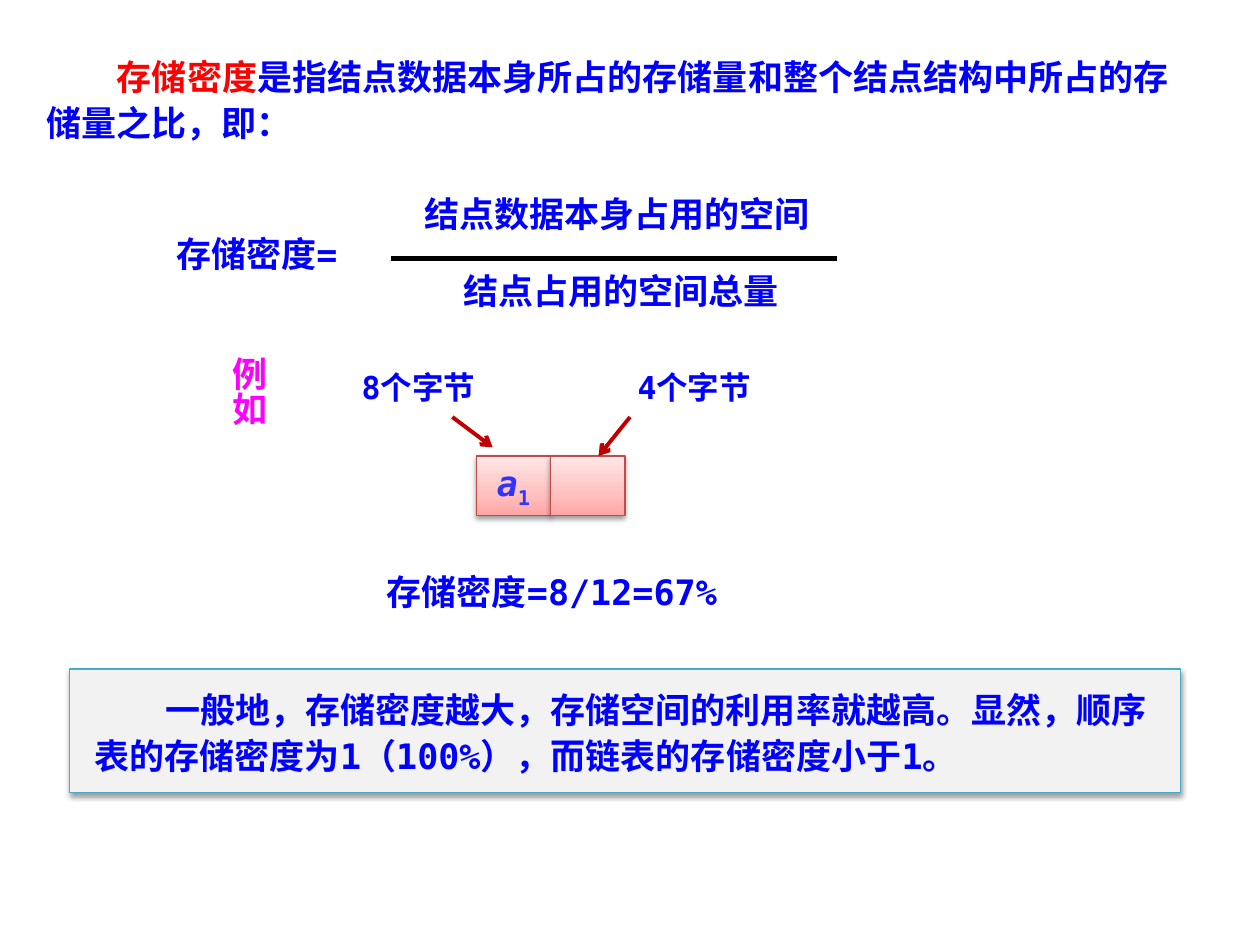
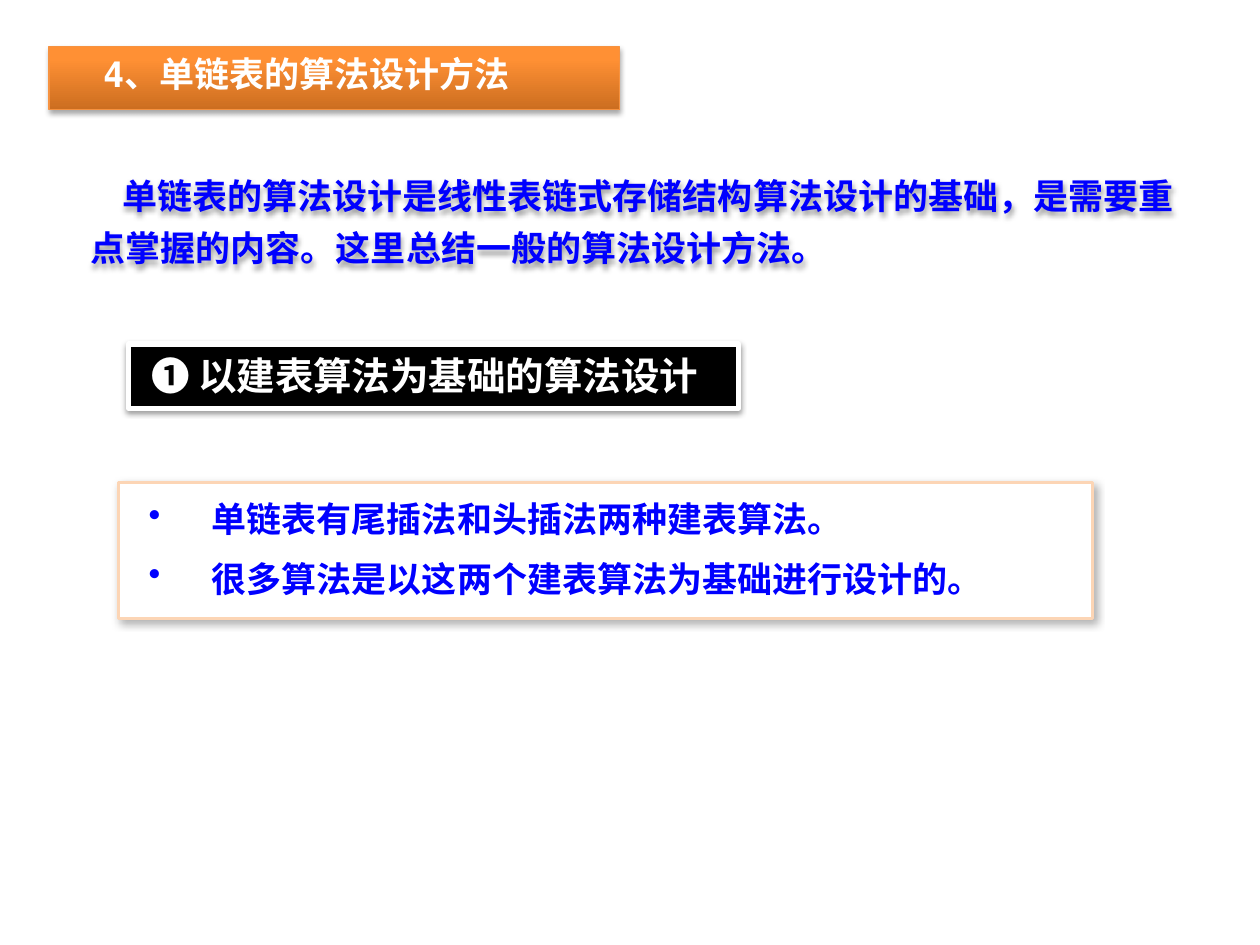
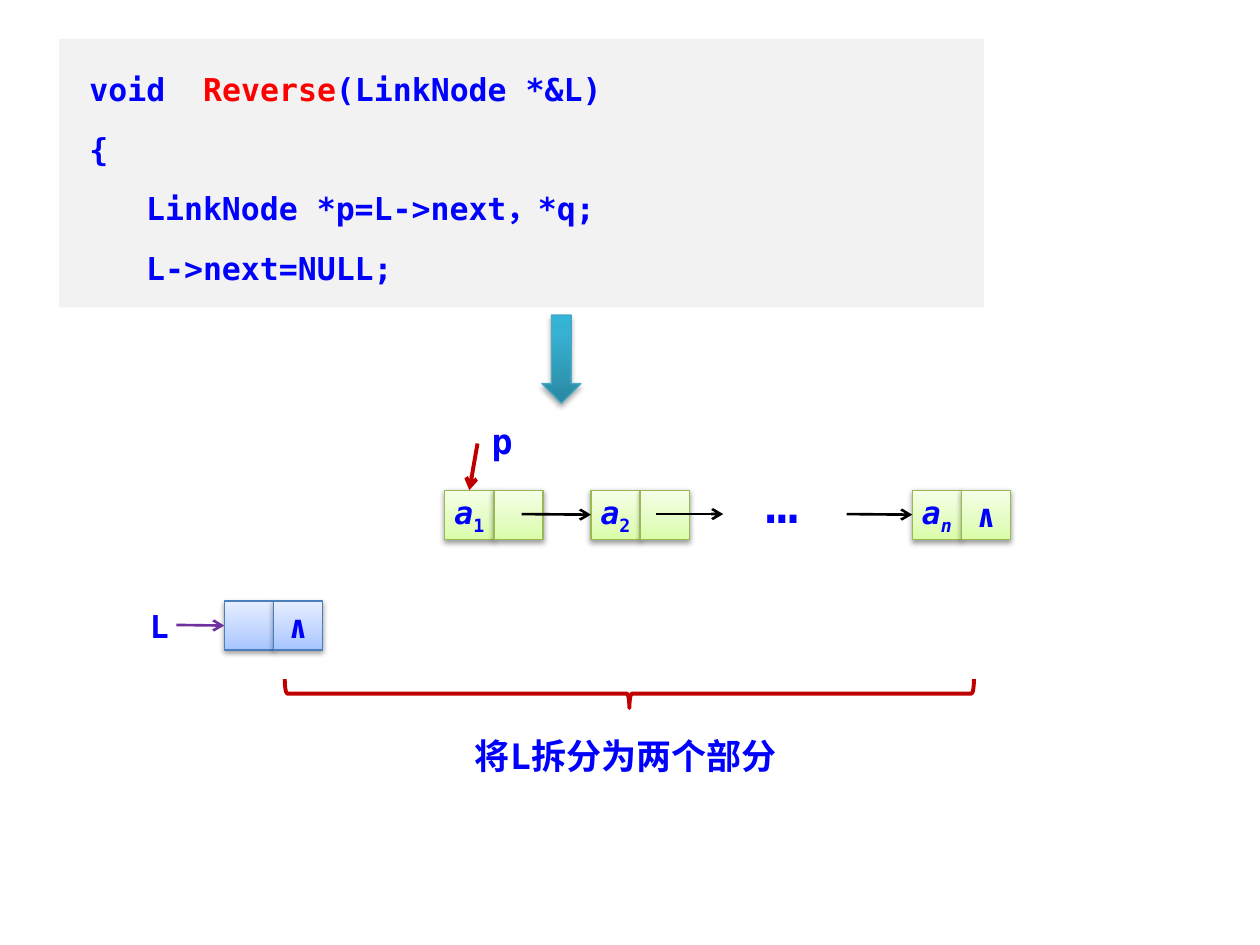
"""Builds three slides on storage density and the design of linked-list algorithms."""
from dataclasses import dataclass
from typing import NamedTuple, Optional, Sequence, Union

from lxml import etree
from pptx import Presentation
from pptx import util as u
from pptx.dml.color import RGBColor
from pptx.enum import shapes, text
from pptx.oxml.ns import qn


class Shadow(NamedTuple):
    alpha: int
    blur: float
    distance: float
    angle: int


class Paint(NamedTuple):
    fill: Union[str, tuple, None] = None
    line: Optional[str] = None
    width: float = 0.75
    shadow: Optional[Shadow] = None


class Box(NamedTuple):
    left: float
    top: float
    width: float
    height: float


class Point(NamedTuple):
    x: float
    y: float


class Run(NamedTuple):
    text: str
    color: Optional[str] = None
    italic: bool = False
    subscript: bool = False


class Arrow(NamedTuple):
    start: Point
    end: Point
    color: str
    width: float
    head: bool = True


Line = Union[str, Sequence[Run]]


@dataclass(frozen=True)
class Theme:
    mono: str = "DejaVu Sans Mono"
    sans: str = "Noto Sans CJK SC"
    blue: str = "0000FF"
    symbol: str = "3333FF"
    red: str = "FF0000"
    pink: str = "FF00FF"
    white: str = "FFFFFF"
    black: str = "000000"
    gray: str = "F2F2F2"
    teal: str = "46AAC5"
    crimson: str = "C00000"
    purple: str = "7030A0"
    small: int = 18
    body: int = 20
    banner: int = 22
    dots: int = 32


THEME = Theme()
SOFT = Shadow(38, 3.1, 1.6, 90)
STRONG = Shadow(35, 3.1, 1.8, 90)
RED_NODE = Paint(((0, "FFA6A5"), (35, "FFC0BF"), (100, "FFE7E7")), "BF4C48", shadow=SOFT)
GREEN_NODE = Paint(((0, "DAFDA7"), (35, "E4FCC2"), (100, "F5FFE7")), "98B955", shadow=SOFT)
BLUE_NODE = Paint(((0, "A4C4FF"), (35, "BFD4FF"), (100, "E6EEFF")), "4B7EBC", shadow=SOFT)
ORANGE_TITLE = Paint(((0, "CC6E20"), (80, "FF9034"), (100, "FF9136")), "F69240", shadow=STRONG)
TEAL_ARROW = Paint(((0, "2A88A2"), (80, "37B1D2"), (100, "34B4D6")), THEME.teal, shadow=STRONG)
NOTE = Paint(THEME.gray, THEME.teal, shadow=SOFT)
BANNER = Paint(THEME.black, THEME.white, 3, SOFT)
POINTS = Paint(THEME.white, "FCD5B5", 2, Shadow(30, 4.5, 2.6, 53))
CODE = Paint(THEME.gray)
BRACE = Paint(None, THEME.crimson, 2.25)


@dataclass(frozen=True)
class Style:
    size: int = THEME.body
    color: str = THEME.blue
    font: str = THEME.mono
    bold: bool = True
    align: text.PP_ALIGN = text.PP_ALIGN.LEFT
    anchor: text.MSO_ANCHOR = text.MSO_ANCHOR.TOP
    spacing: Union[float, u.Pt, None] = None
    indents: Sequence[float] = (0,)
    left: float = 0
    bullet: Optional[str] = None
    insets: Sequence[float] = (0.1, 0.05, 0.1, 0.05)
    wrap: bool = True
    vertical: bool = False


PLAIN = Style()
SMALL_CENTER = Style(size=THEME.small, align=text.PP_ALIGN.CENTER)
CELL = Style(size=THEME.small, align=text.PP_ALIGN.CENTER,
             anchor=text.MSO_ANCHOR.MIDDLE, wrap=False)
NIL = "∧"


def sub(parent: etree._Element, tag: str, **attributes: str) -> etree._Element:
    return etree.SubElement(parent, qn(tag), **attributes)


def place(box: Box) -> list:
    return [u.Inches(length) for length in box]


def cast_shadow(shape, shadow: Optional[Shadow]) -> None:
    shape.shadow.inherit = False
    if shadow:
        effects = shape._element.spPr.find(qn("a:effectLst"))
        outer = sub(effects, "a:outerShdw", blurRad=str(u.Pt(shadow.blur)),
                    dist=str(u.Pt(shadow.distance)), dir=str(shadow.angle * 60000),
                    rotWithShape="0")
        color = sub(outer, "a:srgbClr", val=THEME.black)
        sub(color, "a:alpha", val=str(shadow.alpha * 1000))


def paint_shape(shape, paint: Paint) -> None:
    if paint.fill is None:
        shape.fill.background()
    elif isinstance(paint.fill, str):
        shape.fill.solid()
        shape.fill.fore_color.rgb = RGBColor.from_string(paint.fill)
    else:
        shape.fill.gradient()
        shape.fill.gradient_angle = 90
        stops = shape._element.spPr.find(".//" + qn("a:gsLst"))
        for stop in list(stops):
            stops.remove(stop)
        for position, color in paint.fill:
            sub(sub(stops, "a:gs", pos=str(position * 1000)), "a:srgbClr", val=color)
    if paint.line:
        shape.line.color.rgb = RGBColor.from_string(paint.line)
        shape.line.width = u.Pt(paint.width)
    else:
        shape.line.fill.background()
    cast_shadow(shape, paint.shadow)


def format_paragraph(paragraph, style: Style, indent: float) -> None:
    paragraph.alignment = style.align
    paragraph.line_spacing = style.spacing
    paragraph.space_before = u.Pt(0)
    properties = paragraph._p.get_or_add_pPr()
    before = properties.find(qn("a:spcBef"))
    before.remove(before[0])
    sub(before, "a:spcPct", val="50000")
    properties.set("marL", str(u.Inches(style.left)))
    properties.set("indent", str(u.Inches(indent)))
    if style.bullet:
        sub(properties, "a:buChar", char=style.bullet)


def format_run(run, style: Style, part: Run) -> None:
    run.font.name = style.font
    run.font.size = u.Pt(style.size)
    run.font.bold = style.bold
    run.font.italic = part.italic
    run.font.color.rgb = RGBColor.from_string(part.color or style.color)
    properties = run._r.get_or_add_rPr()
    sub(properties, "a:ea", typeface=THEME.sans)
    if part.subscript:
        properties.set("baseline", "-25000")


def write(shape, lines: Sequence[Line], style: Style) -> None:
    frame = shape.text_frame
    frame.word_wrap = style.wrap
    frame.vertical_anchor = style.anchor
    frame.margin_left, frame.margin_top, frame.margin_right, frame.margin_bottom = place(
        Box(*style.insets))
    if style.vertical:
        frame._txBody.bodyPr.set("vert", "eaVert")
    for number, line in enumerate(lines):
        paragraph = frame.add_paragraph() if number else frame.paragraphs[0]
        parts = [Run(line)] if isinstance(line, str) else line
        if len(parts) == 1:
            paragraph.text = parts[0].text
        else:
            for part in parts:
                paragraph.add_run().text = part.text
        format_paragraph(paragraph, style, style.indents[min(number, len(style.indents) - 1)])
        for run, part in zip(paragraph.runs, parts):
            format_run(run, style, part)


def label(slide, box: Box, line: Line, style: Style = PLAIN):
    caption = slide.shapes.add_textbox(*place(box))
    write(caption, [line], style)
    return caption


def block(slide, box: Box, paint: Paint, lines: Sequence[Line] = (), style: Style = PLAIN,
          outline: shapes.MSO_SHAPE = shapes.MSO_SHAPE.RECTANGLE):
    panel = slide.shapes.add_shape(outline, *place(box))
    paint_shape(panel, paint)
    if lines:
        write(panel, lines, style)
    return panel


def node(slide, box: Box, paint: Paint, data: Line = "", link: Line = "",
         style: Style = CELL) -> list:
    return [block(slide, box._replace(left=box.left + column * box.width), paint,
                  [content] if content else [], style)
            for column, content in enumerate((data, link))]


def draw(slide, arrow: Arrow, target=None, side: int = 1) -> None:
    connector = slide.shapes.add_connector(
        shapes.MSO_CONNECTOR.STRAIGHT, *place(Box(*arrow.start, *arrow.end)))
    if target is not None:
        connector.end_connect(target, side)
    connector.line.color.rgb = RGBColor.from_string(arrow.color)
    connector.line.width = u.Pt(arrow.width)
    if arrow.head:
        sub(connector.line._get_or_add_ln(), "a:tailEnd", type="arrow")
    sub(connector._element.spPr, "a:effectLst")


def item(index: str, color: str = THEME.blue, italic: bool = False) -> Line:
    return Run("a", color, italic=True), Run(index, color, italic, subscript=True)


def density_slide(slide) -> None:
    definition = Style(spacing=1.1, indents=(0.56,))
    label(slide, Box(0.27, 0.36, 9.29, 0.82), (
        Run("存储密度", THEME.red),
        Run("是指结点数据本身所占的存储量和整个结点结构中所占的存储量之比，即：")), definition)
    block(slide, Box(0.55, 5.31, 8.82, 0.98), NOTE,
          ["一般地，存储密度越大，存储空间的利用率就越高。显然，顺序表的存储密度为1（100%），"
           "而链表的存储密度小于1。"],
          Style(spacing=1.1, indents=(0.56,), insets=(0.2, 0.12, 0.1, 0.12)))
    for box, formula in (
            (Box(1.3, 1.8, 2.13, 0.44), "存储密度="),
            (Box(3.27, 1.48, 4.17, 0.44), "结点数据本身占用的空间"),
            (Box(3.58, 2.09, 3.54, 0.44), "结点占用的空间总量"),
            (Box(2.97, 4.48, 3.05, 0.44), "存储密度=8/12=67%")):
        label(slide, box, formula)
    draw(slide, Arrow(Point(3.1, 2.05), Point(6.64, 2.05), THEME.black, 3, head=False))

    node(slide, Box(3.78, 3.62, 0.59, 0.47), RED_NODE, item("1", THEME.symbol),
         style=Style(align=text.PP_ALIGN.CENTER, anchor=text.MSO_ANCHOR.MIDDLE, wrap=False))
    for left, size, start, end in (
            (2.58, "8个字节", Point(3.59, 3.31), Point(3.91, 3.55)),
            (4.77, "4个字节", Point(5, 3.31), Point(4.75, 3.62))):
        label(slide, Box(left, 2.87, 1.48, 0.4), size, SMALL_CENTER)
        draw(slide, Arrow(start, end, THEME.crimson, 2.25))
    label(slide, Box(1.65, 2.73, 0.54, 1.02), "例如",
          Style(color=THEME.pink, align=text.PP_ALIGN.CENTER, vertical=True))


def method_slide(slide) -> None:
    block(slide, Box(0.39, 0.37, 4.53, 0.5), ORANGE_TITLE, ["4、单链表的算法设计方法"],
          Style(color=THEME.white, indents=(0.33,)))
    summary = label(
        slide, Box(0.62, 1.25, 8.98, 0.88),
        "单链表的算法设计是线性表链式存储结构算法设计的基础，是需要重点掌握的内容。"
        "这里总结一般的算法设计方法。",
        Style(font=THEME.sans, spacing=u.Pt(30), indents=(0.25,)))
    cast_shadow(summary, SOFT)
    block(slide, Box(0.94, 3.83, 7.73, 1.08), POINTS,
          ["单链表有尾插法和头插法两种建表算法。", "很多算法是以这两个建表算法为基础进行设计的。"],
          Style(align=text.PP_ALIGN.JUSTIFY, left=0.5, indents=(-0.5,), bullet="•",
                insets=(0.24, 0.12, 0.1, 0.12)))
    block(slide, Box(1.02, 2.73, 4.84, 0.51), BANNER, ["❶ 以建表算法为基础的算法设计"],
          Style(size=THEME.banner, color=THEME.white, align=text.PP_ALIGN.CENTER,
                spacing=u.Pt(25), insets=(0.1, 0.08, 0.24, 0.08)))


def reverse_slide(slide) -> None:
    block(slide, Box(0.47, 0.31, 7.34, 2.13), CODE,
          [(Run("void  "), Run("Reverse", THEME.red), Run("(LinkNode *&L)")),
           "{", "LinkNode *p=L->next，*q;", "L->next=NULL;"],
          Style(size=THEME.small, spacing=u.Pt(25), indents=(0, 0, 0.45),
                insets=(0.24, 0.2, 0.1, 0.2)))
    block(slide, Box(4.3, 2.5, 0.31, 0.7), TEAL_ARROW, outline=shapes.MSO_SHAPE.DOWN_ARROW)

    side, row, middle = 0.39, 3.89, 4.08
    head, _ = node(slide, Box(1.78, 4.77, side, side), BLUE_NODE, link=NIL)
    first, second, last = [
        node(slide, Box(left, row, side, side), GREEN_NODE, data, link)[0]
        for left, data, link in ((3.53, item("1"), ""), (4.69, item("2"), ""),
                                 (7.24, item("n", italic=True), NIL))]

    label(slide, Box(1.09, 4.77, 0.29, 0.4), "L", Style(size=THEME.small))
    draw(slide, Arrow(Point(1.4, 4.96), Point(1.78, 4.96), THEME.purple, 1.5), head)
    for start, end, target in ((4.14, 4.69, second), (5.21, 5.74, None), (6.72, 7.24, last)):
        draw(slide, Arrow(Point(start, middle), Point(end, middle), THEME.black, 1.5), target)
    label(slide, Box(5.98, 3.66, 0.79, 0.63), "…", Style(size=THEME.dots, bold=False))
    draw(slide, Arrow(Point(3.79, 3.52), Point(3.72, row), THEME.crimson, 2.25), first, 0)
    label(slide, Box(3.71, 3.28, 0.55, 0.44), "p", Style(align=text.PP_ALIGN.CENTER))

    brace = block(slide, Box(4.88, 2.77, 0.23, 5.47), BRACE,
                  outline=shapes.MSO_SHAPE.RIGHT_BRACE)
    brace.rotation = 90
    label(slide, Box(3.67, 5.78, 2.89, 0.44), "将L拆分为两个部分")


def main() -> None:
    deck = Presentation()
    deck.slide_width, deck.slide_height = u.Inches(10), u.Inches(7.5)
    for build in (density_slide, method_slide, reverse_slide):
        build(deck.slides.add_slide(deck.slide_layouts[6]))
    deck.save("out.pptx")


if __name__ == "__main__":
    main()
